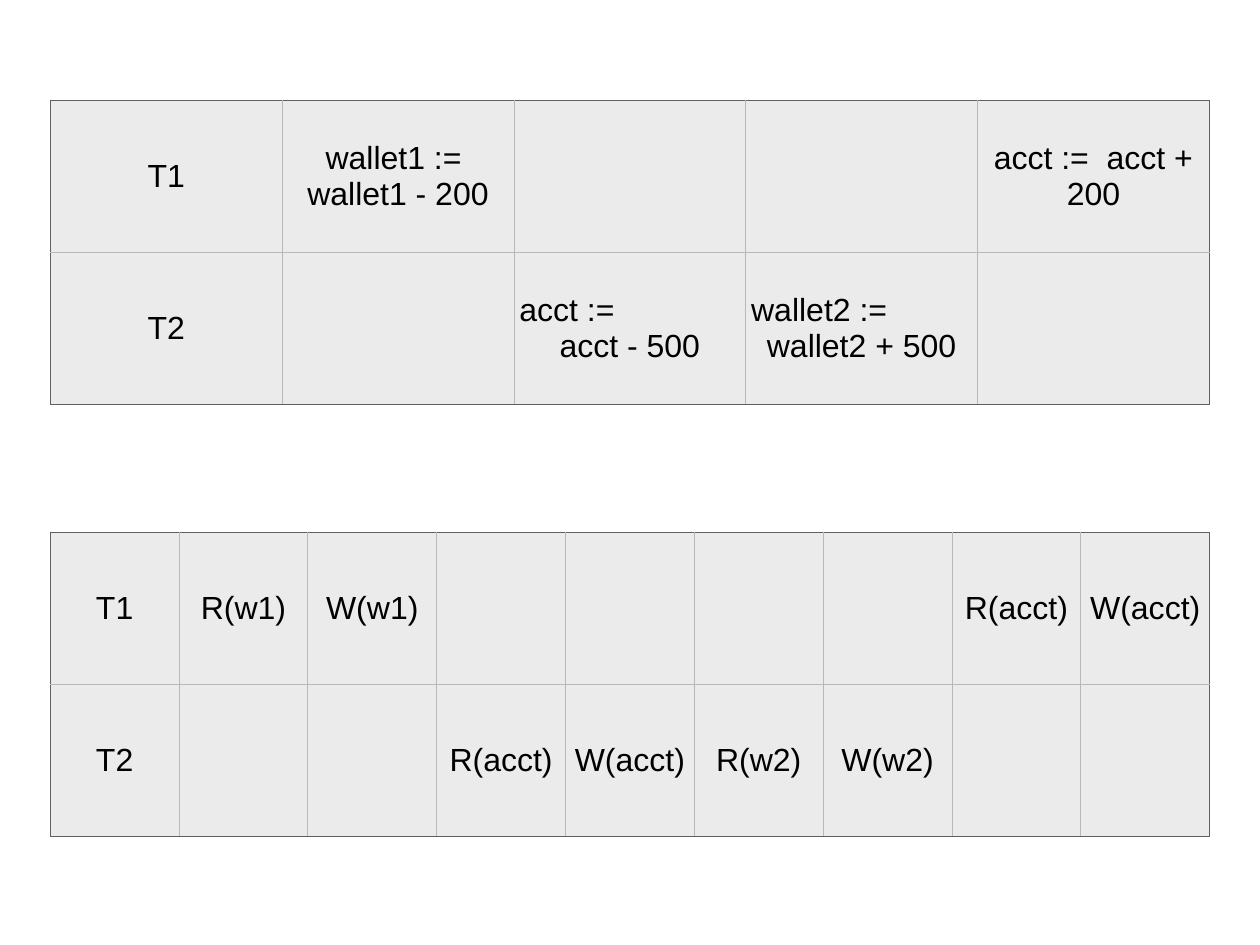
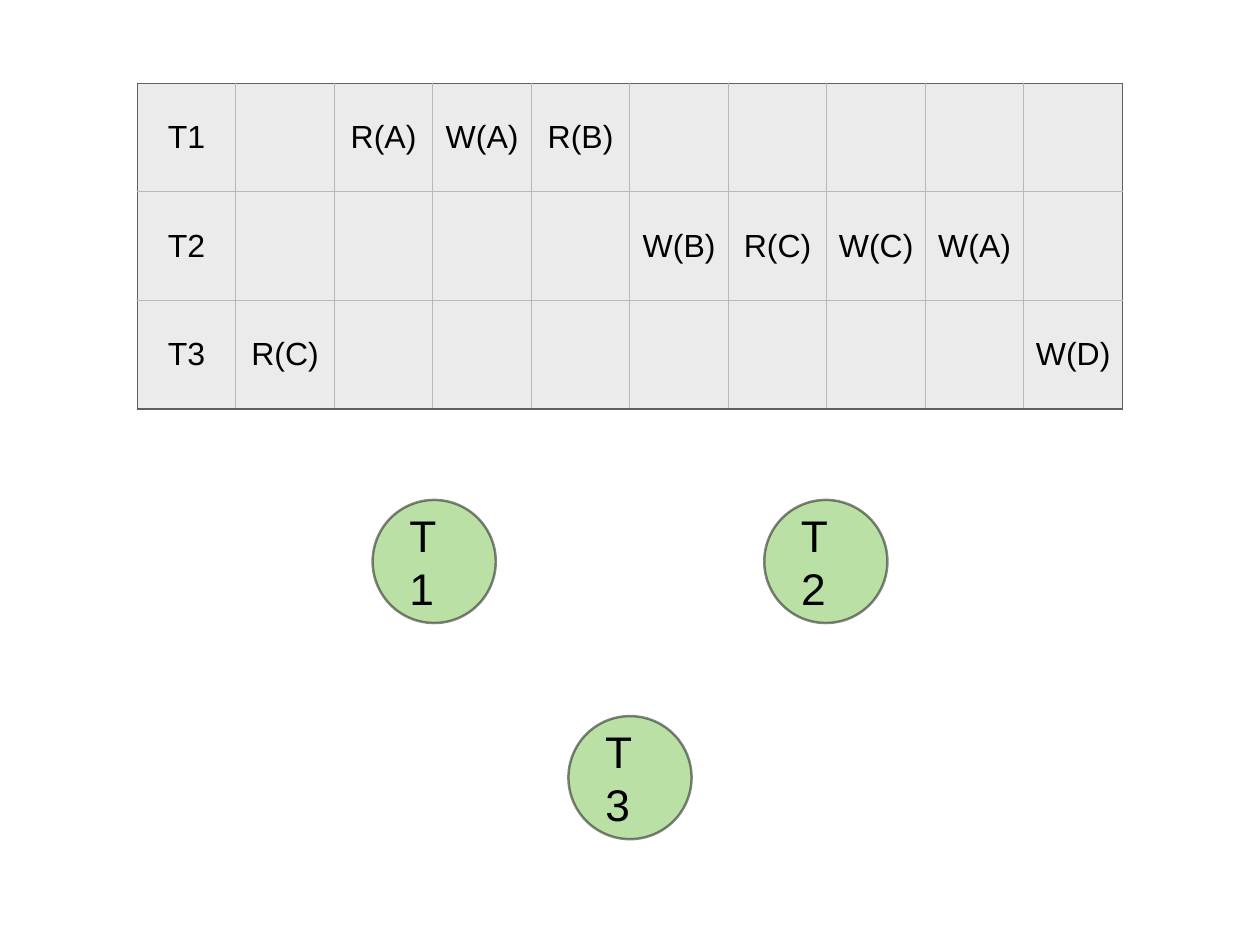
from dataclasses import dataclass

from pptx import Presentation, util as u
from pptx.dml.color import RGBColor
from pptx.enum import shapes, text
from pptx.oxml import parse_xml
from pptx.oxml.ns import nsdecls, qn

WIDE, HIGH = 14.22, 10.67
INK, CELL, EDGE, GRID, NODE = "000000", "EBEBEB", "606060", "B8B8B8", "70BF41"
FONT = "Arial"
PAD = 0.06
ALPHA = 47
SIZE = 1.39
LEFT, MID = text.PP_ALIGN.LEFT, text.PP_ALIGN.CENTER


@dataclass
class Plan:
    """A schedule: one row per transaction, cells split by |."""
    top: float
    col: float
    row: float
    rows: list[str]


@dataclass
class Node:
    name: str
    x: float
    y: float


WALLET = [
    Plan(1.13, 2.616, 1.72, [
        "T1|wallet1 :=  wallet1 - 200|||acct :=  acct + 200",
        "T2||acct :=\nacct - 500|wallet2 :=\nwallet2 + 500|"]),
    Plan(6.01, 1.454, 1.72, [
        "T1|R(w1)|W(w1)|||||R(acct)|W(acct)",
        "T2|||R(acct)|W(acct)|R(w2)|W(w2)||"]),
]
THREE = Plan(0.94, 1.112, 1.226, [
    "T1||R(A)|W(A)|R(B)|||||",
    "T2|||||W(B)|R(C)|W(C)|W(A)|",
    "T3|R(C)||||||||W(D)"])
NODES = [
    Node("T1", WIDE / 2 - 2.21, 6.34),
    Node("T2", WIDE / 2 + 2.21, 6.34),
    Node("T3", WIDE / 2, 8.78),
]


def rgb(code: str) -> RGBColor:
    return RGBColor.from_string(code)


def write(para, words: str, size: float, align) -> None:
    para.alignment = align
    run = para.add_run()
    run.text = words
    run.font.size = u.Pt(size)
    run.font.name = FONT
    run.font.color.rgb = rgb(INK)


def border(cell, side: str, code: str) -> None:
    cell._tc.get_or_add_tcPr().append(parse_xml(
        f'<a:ln{side} {nsdecls("a")} w="{u.Pt(1)}"><a:solidFill>'
        f'<a:srgbClr val="{code}"/></a:solidFill></a:ln{side}>'))


def fade(fill) -> None:
    """Make a solid fill partly transparent."""
    for tint in fill.iter(qn("a:srgbClr")):
        tint.append(parse_xml(
            f'<a:alpha {nsdecls("a")} val="{ALPHA * 1000}"/>'))


def draw_plan(slide, plan: Plan) -> None:
    cells = [row.split("|") for row in plan.rows]
    rows, cols = len(cells), len(cells[0])
    wide = cols * plan.col
    table = slide.shapes.add_table(
        rows, cols, u.Inches((WIDE - wide) / 2), u.Inches(plan.top),
        u.Inches(wide), u.Inches(rows * plan.row)).table
    table.first_row = table.horz_banding = False
    for r, row in enumerate(cells):
        for c, words in enumerate(row):
            cell = table.cell(r, c)
            outer = {"L": c == 0, "R": c == cols - 1,
                     "T": r == 0, "B": r == rows - 1}
            for side, edge in outer.items():
                border(cell, side, EDGE if edge else GRID)
            cell.fill.solid()
            cell.fill.fore_color.rgb = rgb(CELL)
            cell.vertical_anchor = text.MSO_ANCHOR.MIDDLE
            cell.margin_left = cell.margin_right = u.Inches(PAD)
            cell.margin_top = cell.margin_bottom = u.Inches(PAD)
            if not words:
                continue
            lines = words.split("\n")
            for n, line in enumerate(lines):
                frame = cell.text_frame
                para = frame.add_paragraph() if n else frame.paragraphs[0]
                last = n == len(lines) - 1
                write(para, line, 26, MID if last else LEFT)


def draw_disc(slide, node: Node) -> None:
    disc = slide.shapes.add_shape(
        shapes.MSO_SHAPE.OVAL, u.Inches(node.x - SIZE / 2),
        u.Inches(node.y - SIZE / 2), u.Inches(SIZE), u.Inches(SIZE))
    disc.shadow.inherit = False
    disc.fill.solid()
    disc.fill.fore_color.rgb = rgb(NODE)
    disc.line.color.rgb = rgb(INK)
    disc.line.width = u.Pt(2)
    fade(disc._element.spPr)


def draw_name(slide, node: Node) -> None:
    """Stack the two letters of the name in the left half of a box."""
    wide, high = 0.68, 0.71
    frame = slide.shapes.add_textbox(
        u.Inches(node.x - wide / 2), u.Inches(node.y - high / 2),
        u.Inches(wide), u.Inches(high)).text_frame
    frame.word_wrap = True
    frame.auto_size = text.MSO_AUTO_SIZE.NONE
    frame.vertical_anchor = text.MSO_ANCHOR.MIDDLE
    frame.margin_left = frame.margin_top = frame.margin_bottom = u.Inches(PAD)
    frame.margin_right = u.Inches(wide / 2)
    write(frame.paragraphs[0], node.name, 36, MID)


def main() -> None:
    deck = Presentation()
    deck.slide_width, deck.slide_height = u.Inches(WIDE), u.Inches(HIGH)
    blank = deck.slide_layouts[6]

    slide = deck.slides.add_slide(blank)
    for plan in WALLET:
        draw_plan(slide, plan)

    slide = deck.slides.add_slide(blank)
    draw_plan(slide, THREE)
    for draw in (draw_disc, draw_name):
        for node in NODES:
            draw(slide, node)

    deck.save("out.pptx")


if __name__ == "__main__":
    main()
